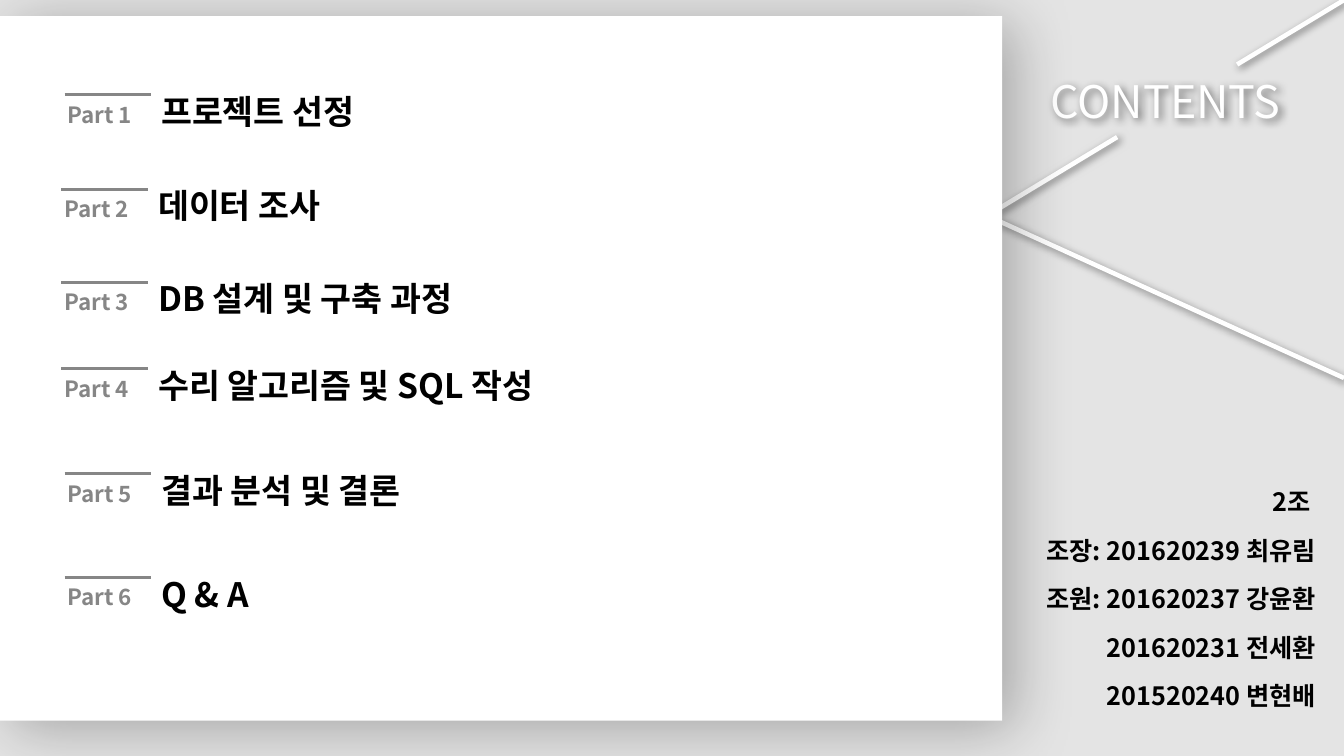
from lxml.etree import SubElement
from pptx import Presentation
from pptx.dml.color import RGBColor
from pptx.enum.shapes import MSO_CONNECTOR, MSO_SHAPE
from pptx.enum.text import MSO_AUTO_SIZE, PP_ALIGN
from pptx.oxml.ns import qn
from pptx.util import Pt

SCALE = 9144
PAGE_WIDTH, PAGE_HEIGHT = 1333, 750
FONT = "Noto Sans CJK KR"
COLORS = {"white": "FFFFFF", "backdrop": "D9D9D9", "label": "868686", "ink": "000000"}
SOFT_SHADOW = {"alpha": 50, "blur": 6, "distance": 2.5, "angle": 45}
PANEL_SHADOW = {"alpha": 28, "blur": 45, "distance": 11, "angle": 32}

HEADING = {"size": Pt(32), "bold": False}
TITLE = {"size": Pt(24), "bold": True}
LABEL = {"size": Pt(16), "bold": True}
MEMBER = {"size": Pt(18), "bold": True}

PARTS = [
    ("프로젝트 선정", 64, 85, 274),
    ("데이터 조사", 61, 179, 274),
    ("DB 설계 및 구축 과정", 61, 271, 336),
    ("수리 알고리즘 및 SQL 작성", 61, 357, 420),
    ("결과 분석 및 결론", 64, 461, 274),
    ("Q & A", 64, 564, 274),
]
MEMBERS = [
    "2조 ",
    "조장: 201620239 최유림",
    "조원: 201620237 강윤환",
    "201620231 전세환",
    "201520240 변현배",
]


def px(*lengths):
    return [round(length * SCALE) for length in lengths]


def color(name):
    return RGBColor.from_string(COLORS[name])


def set_shadow(shape, shadow=None):
    properties = shape._element.spPr
    effects = properties.find(qn("a:effectLst"))
    if effects is None:
        effects = SubElement(properties, qn("a:effectLst"))
    if shadow:
        outer = SubElement(
            effects, qn("a:outerShdw"),
            blurRad=str(Pt(shadow["blur"])), dist=str(Pt(shadow["distance"])),
            dir=str(shadow["angle"] * 60000), algn="tl", rotWithShape="0",
        )
        tone = SubElement(outer, qn("a:srgbClr"), val=COLORS["ink"])
        SubElement(tone, qn("a:alpha"), val=str(shadow["alpha"] * 1000))


def add_rectangle(shapes, box, fill):
    rectangle = shapes.add_shape(MSO_SHAPE.RECTANGLE, *px(*box))
    rectangle.fill.solid()
    rectangle.fill.fore_color.rgb = color(fill)
    rectangle.line.fill.background()
    rectangle.shadow.inherit = False
    return rectangle


def add_line(shapes, ends, tone, width, shadow=None):
    line = shapes.add_connector(MSO_CONNECTOR.STRAIGHT, *px(*ends))
    line.line.color.rgb = color(tone)
    line.line.width = Pt(width)
    set_shadow(line, shadow)


def add_text(shapes, box, lines, style, tone, align=PP_ALIGN.LEFT, spacing=None):
    text_box = shapes.add_textbox(*px(*box))
    frame = text_box.text_frame
    frame.word_wrap = True
    frame.auto_size = MSO_AUTO_SIZE.SHAPE_TO_FIT_TEXT
    for index, line in enumerate(lines):
        para = frame.add_paragraph() if index else frame.paragraphs[0]
        para.alignment = align
        para.line_spacing = spacing
        span = para.add_run()
        span.text = line
        for name, value in {**style, "name": FONT}.items():
            setattr(span.font, name, value)
        span.font.color.rgb = color(tone)
        SubElement(span.font._element, qn("a:ea"), typeface=FONT)
    return text_box


def draw_backdrop(page, box):
    backdrop = add_rectangle(page.shapes, box, "backdrop")
    tone = backdrop._element.spPr.find(qn("a:solidFill"))[0]
    SubElement(tone, qn("a:alpha"), val="69000")


def draw_side_heading(page, box):
    left, top, width, height = box
    right = left + width
    heading = add_text(page.shapes, (left, top + 68, width, 64), ["CONTENTS"],
                       HEADING, "white", PP_ALIGN.CENTER)
    set_shadow(heading, SOFT_SHADOW)
    corner = top + 214
    for ends in [
        (left + 129, top + 136, left, corner),
        (right, top, right - 106, top + 64),
        (left, corner, right, top + height),
    ]:
        add_line(page.shapes, ends, "white", 3.25, SOFT_SHADOW)


def draw_panel(page, box):
    set_shadow(add_rectangle(page.shapes, box, "white"), PANEL_SHADOW)


def draw_part(page, number, title, box):
    left, top, width, height = box
    shapes = page.shapes.add_group_shape().shapes
    add_text(shapes, (left + 86, top, width, height), [title], TITLE, "ink")
    add_line(shapes, (left, top + 9, left + 86, top + 9), "label", 2.25)
    add_text(shapes, (left - 7, top + 10, 204, 37), [f"Part {number}"], LABEL, "label")


def draw_members(page, box):
    add_text(page.shapes, box, MEMBERS, MEMBER, "ink", PP_ALIGN.RIGHT, 1.6)


def main():
    deck = Presentation()
    deck.slide_width, deck.slide_height = px(PAGE_WIDTH, PAGE_HEIGHT)
    page = deck.slides.add_slide(deck.slide_layouts[6])
    draw_backdrop(page, (0, 0, PAGE_WIDTH, PAGE_HEIGHT))
    draw_side_heading(page, (979, 0, 354, 375))
    draw_panel(page, (0, 16, 994, 699))
    for number, (title, left, top, width) in enumerate(PARTS, 1):
        draw_part(page, number, title, (left, top, width, 50))
    draw_members(page, (978, 460, 337, 283))
    deck.save("out.pptx")


if __name__ == "__main__":
    main()
